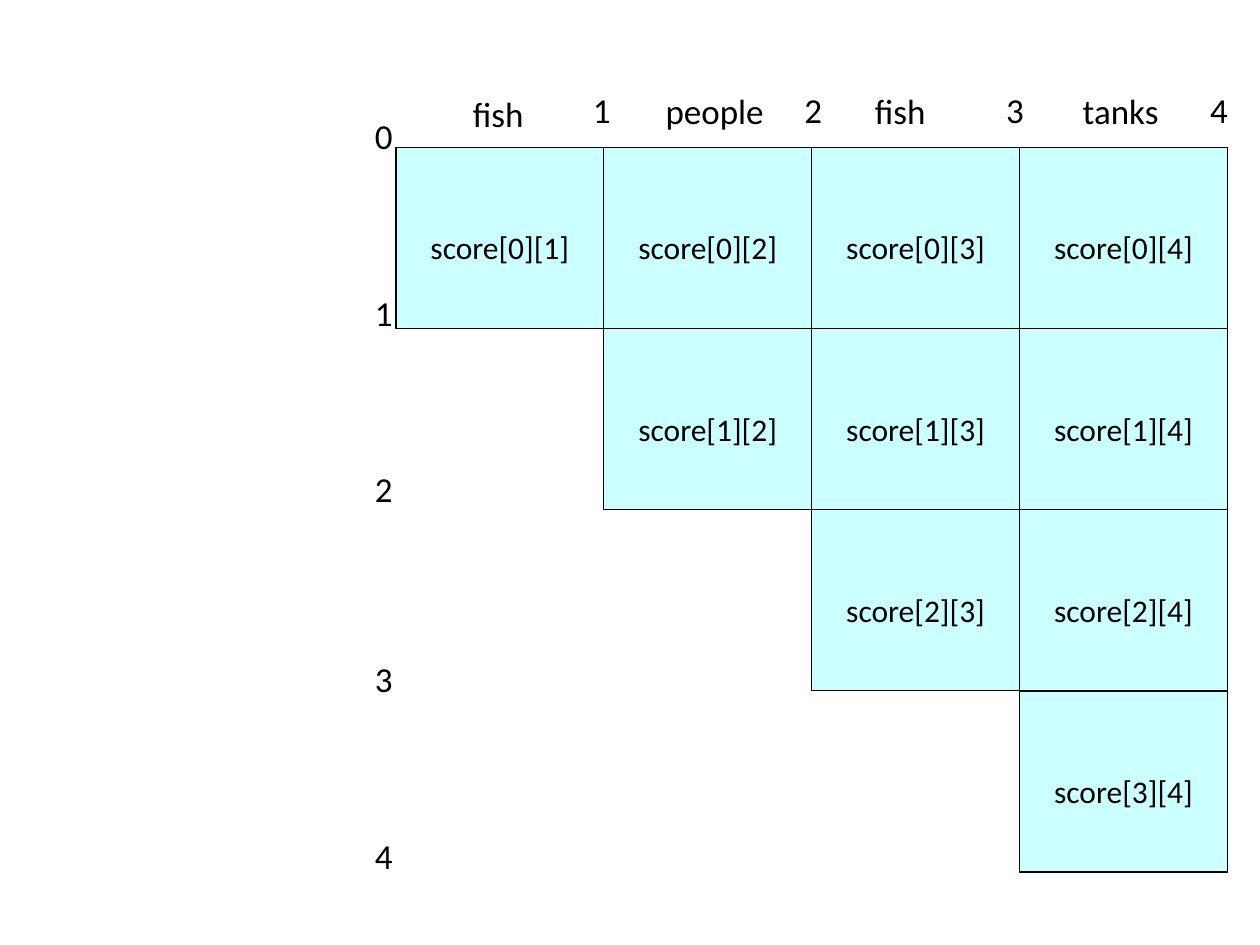
from pptx import Presentation
from pptx.dml.color import RGBColor
from pptx.enum.shapes import MSO_SHAPE as Shape
from pptx.enum.text import MSO_ANCHOR as Anchor, MSO_AUTO_SIZE as AutoSize, PP_ALIGN as Align
from pptx.util import Pt

WORDS = ["fish", "people", "fish", "tanks"]
GRID_LEFT, GRID_TOP = 226.2, 84.3
CELL_WIDTH, CELL_HEIGHT = 118.8, 103.5
INSET_X, INSET_Y = 4.5, 2.25
CELL_TEXT_TOP = 46.2
LABEL_WIDTH, LABEL_HEIGHT = 42.5, 29.5


def color(value):
    return RGBColor.from_string(value)


def write(box, text, size, align=Align.CENTER, inset_top=INSET_Y):
    """Put one top-anchored line of black text in the box."""
    frame = box.text_frame
    frame.word_wrap = True
    frame.vertical_anchor = Anchor.TOP
    frame.margin_left = frame.margin_right = Pt(INSET_X)
    frame.margin_top, frame.margin_bottom = Pt(inset_top), Pt(INSET_Y)
    para = frame.paragraphs[0]
    para.text = text
    para.alignment = align
    para.font.name = "Calibri"
    para.font.size = Pt(size)
    para.font.color.rgb = color("000000")


deck = Presentation()
deck.slide_width, deck.slide_height = Pt(720), Pt(540)
page = deck.slides.add_slide(deck.slide_layouts[6])
shapes = page.shapes

# Upper triangle of score cells, one diagonal after another
count = len(WORDS)
for offset in range(count):
    for row in range(count - offset):
        column = row + offset
        cell = shapes.add_shape(
            Shape.RECTANGLE,
            Pt(GRID_LEFT + column * CELL_WIDTH), Pt(GRID_TOP + row * CELL_HEIGHT),
            Pt(CELL_WIDTH), Pt(CELL_HEIGHT))
        cell.shadow.inherit = False
        cell.fill.solid()
        cell.fill.fore_color.rgb = color("CCFFFF")
        cell.line.color.rgb = color("000000")
        cell.line.width = Pt(0.75)
        write(cell, f"score[{row}][{column + 1}]", 18, inset_top=CELL_TEXT_TOP)

# Start positions down the left side
for number, top in enumerate([63.4, 164.2, 265, 373.7, 474.5]):
    label = shapes.add_textbox(Pt(198), Pt(top), Pt(LABEL_WIDTH), Pt(LABEL_HEIGHT))
    write(label, str(number), 20)

# End positions along the top
end_labels = [(322.6, LABEL_WIDTH), (443.5, LABEL_WIDTH), (558.7, LABEL_WIDTH), (685.4, 22.3)]
for number, (left, width) in enumerate(end_labels, start=1):
    label = shapes.add_textbox(Pt(left), Pt(48.2), Pt(width), Pt(LABEL_HEIGHT))
    write(label, str(number), 20)

# Words between the positions
word_places = [(265.7, 50.4, 38.2), (375.8, 49, 65.5), (495.4, 49, 38.2), (614.2, 49, 52.6)]
for word, (left, top, width) in zip(WORDS, word_places):
    label = shapes.add_textbox(Pt(left), Pt(top), Pt(width), Pt(28.8))
    write(label, word, 20, Align.LEFT)
    label.text_frame.word_wrap = False
    label.text_frame.auto_size = AutoSize.SHAPE_TO_FIT_TEXT

deck.save("out.pptx")
